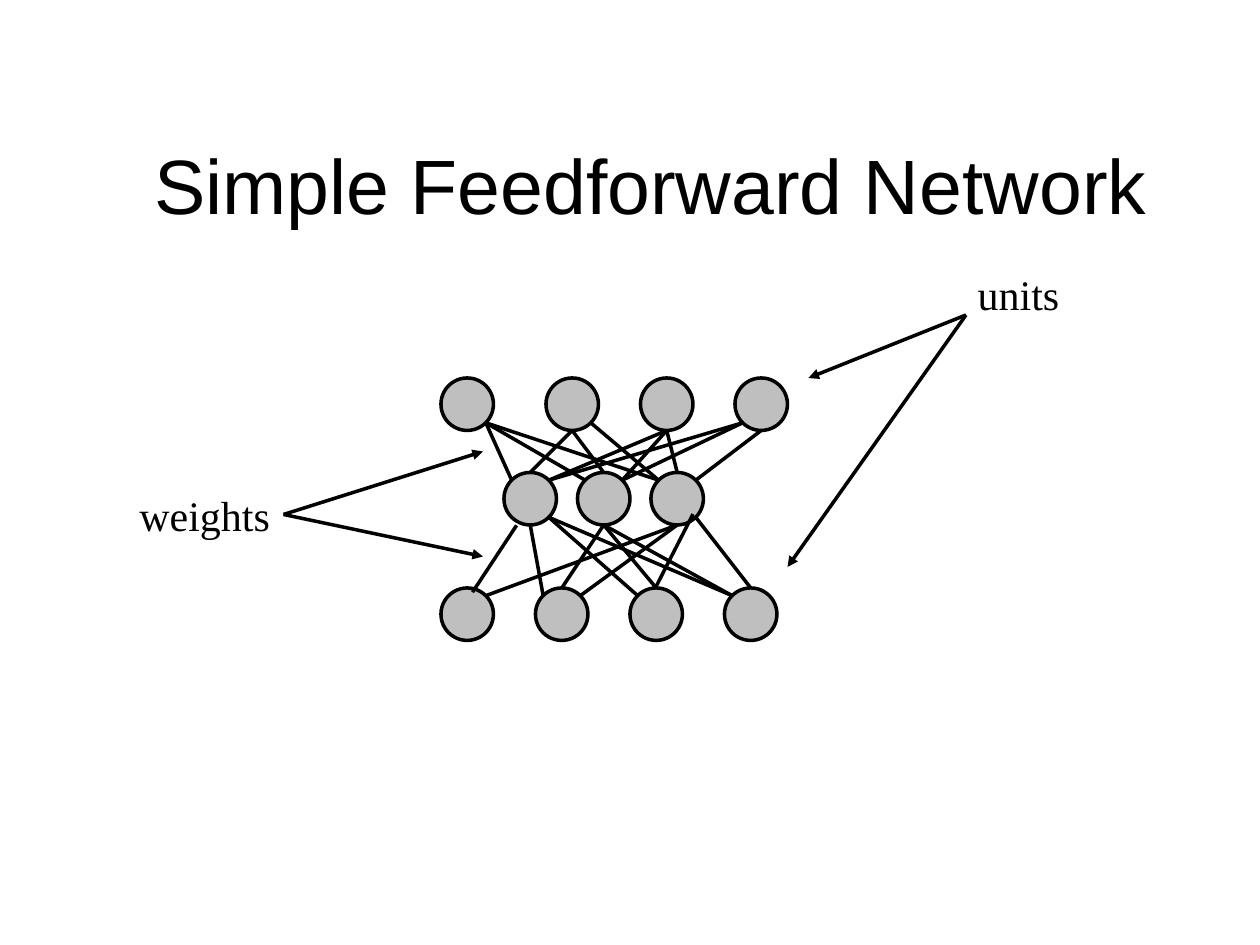
from pptx import Presentation
from pptx.util import Pt
from pptx.dml.color import RGBColor
from pptx.enum.shapes import MSO_SHAPE as Shape, MSO_CONNECTOR as Link
from pptx.enum.text import PP_ALIGN as Align, MSO_ANCHOR as Anchor
from pptx.oxml.ns import qn
from lxml.etree import SubElement as Sub

BLACK = RGBColor(0, 0, 0)
GREY = RGBColor(128, 128, 128)
SIZE = 30
REACH = {-1: (-10.6, 10.6), 0: (0, 15), 1: (10.6, 10.6)}

TITLE = ("Simple Feedforward Network", "Arial", 44)
LABELS = [("units", 480, 150, 204), ("weights", 24, 276, 186)]
LAYERS = {
    "hidden": (270, [288, 330, 372]),
    "input": (336, [252, 306, 360, 414]),
    "output": (216, [252, 312, 366, 420]),
}
# lower unit, its side, upper unit, its side
WEIGHTS = {
    ("input", "hidden"): [
        (1, 0, 1, 0), (0, 1, 2, 0), (1, 1, 2, 0), (1, -1, 0, 0), (2, -1, 0, 1),
        (2, 0, 1, 0), (3, -1, 0, 1), (3, -1, 1, 0), (3, 0, 2, 1),
    ],
    ("hidden", "output"): [
        (0, -1, 0, 1), (0, 0, 1, 0), (0, 1, 2, 0), (0, 1, 3, -1),
        (1, -1, 0, 1), (1, 0, 1, 0), (1, 1, 2, 0), (1, 1, 3, -1),
        (2, 1, 3, 0), (2, 0, 2, 0), (2, -1, 1, 1), (2, -1, 0, 1),
    ],
}
LOOSE = [((270, 338.4), (295.2, 300.2)), ((375.1, 334.8), (396, 293.8))]
ARROWS = [
    ((552, 180), [(462, 216), (450, 324)]),
    ((162, 294), [(276, 258), (276, 318)]),
]


def write(frame, text, font, size):
    frame.word_wrap = True
    para = frame.paragraphs[0]
    para.alignment = Align.CENTER
    run = para.add_run()
    run.text = text
    run.font.name = font
    run.font.size = Pt(size)
    run.font.color.rgb = BLACK


def draw_unit(slide, x, y):
    unit = slide.shapes.add_shape(Shape.OVAL, Pt(x), Pt(y), Pt(SIZE), Pt(SIZE))
    unit.shadow.inherit = False
    unit.fill.solid()
    unit.fill.fore_color.rgb = GREY
    tint = next(unit.fill._xPr.iter(qn("a:srgbClr")))
    Sub(tint, qn("a:alpha"), val="50000")
    unit.line.color.rgb = BLACK
    unit.line.width = Pt(2)


def draw_line(slide, start, end, arrow=False):
    ends = [Pt(v) for v in (*start, *end)]
    line = slide.shapes.add_connector(Link.STRAIGHT, *ends)
    line.line.color.rgb = BLACK
    line.line.width = Pt(2)
    if arrow:
        Sub(line.line._get_or_add_ln(), qn("a:tailEnd"), type="triangle")
    Sub(line._element.spPr, qn("a:effectLst"))


def rim(layer, index, side, sign):
    top, lefts = LAYERS[layer]
    dx, dy = REACH[side]
    return lefts[index] + SIZE / 2 + dx, top + SIZE / 2 + sign * dy


def main():
    deck = Presentation()
    deck.slide_width, deck.slide_height = Pt(720), Pt(540)
    slide = deck.slides.add_slide(deck.slide_layouts[5])

    for top, lefts in LAYERS.values():
        for left in lefts:
            draw_unit(slide, left, top)
    for (lower, upper), links in WEIGHTS.items():
        for i, side, j, far in links:
            draw_line(slide, rim(lower, i, side, -1), rim(upper, j, far, 1))
    for start, end in LOOSE:
        draw_line(slide, start, end)

    for text, x, y, width in LABELS:
        box = slide.shapes.add_textbox(Pt(x), Pt(y), Pt(width), Pt(36))
        write(box.text_frame, text, "Times New Roman", 24)
    for start, tips in ARROWS:
        for tip in tips:
            draw_line(slide, start, tip, arrow=True)

    title = slide.shapes.title
    title.left, title.top = Pt(66), Pt(60)
    title.width, title.height = Pt(612), Pt(90)
    title.text_frame.vertical_anchor = Anchor.MIDDLE
    write(title.text_frame, *TITLE)
    deck.save("out.pptx")


if __name__ == "__main__":
    main()
